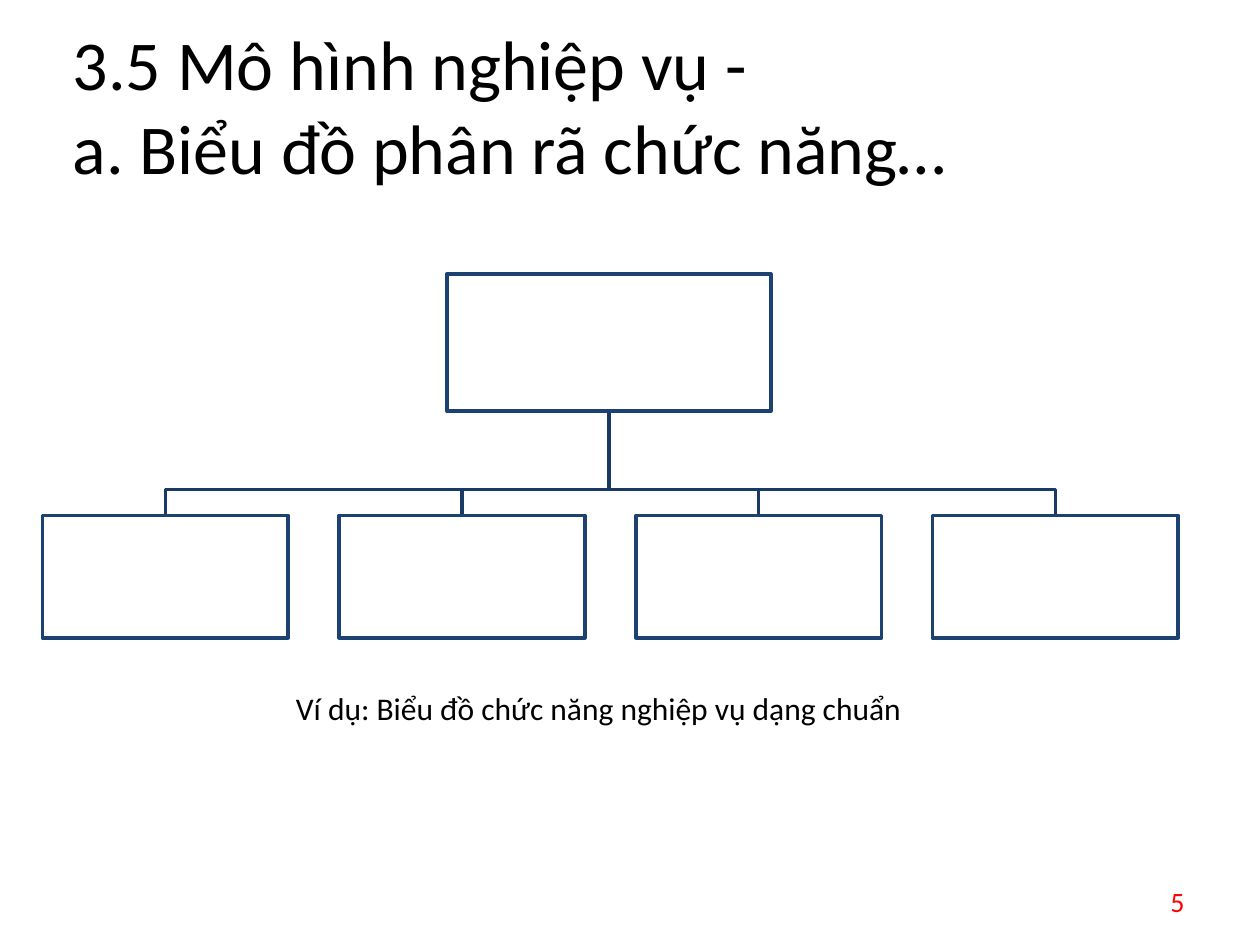
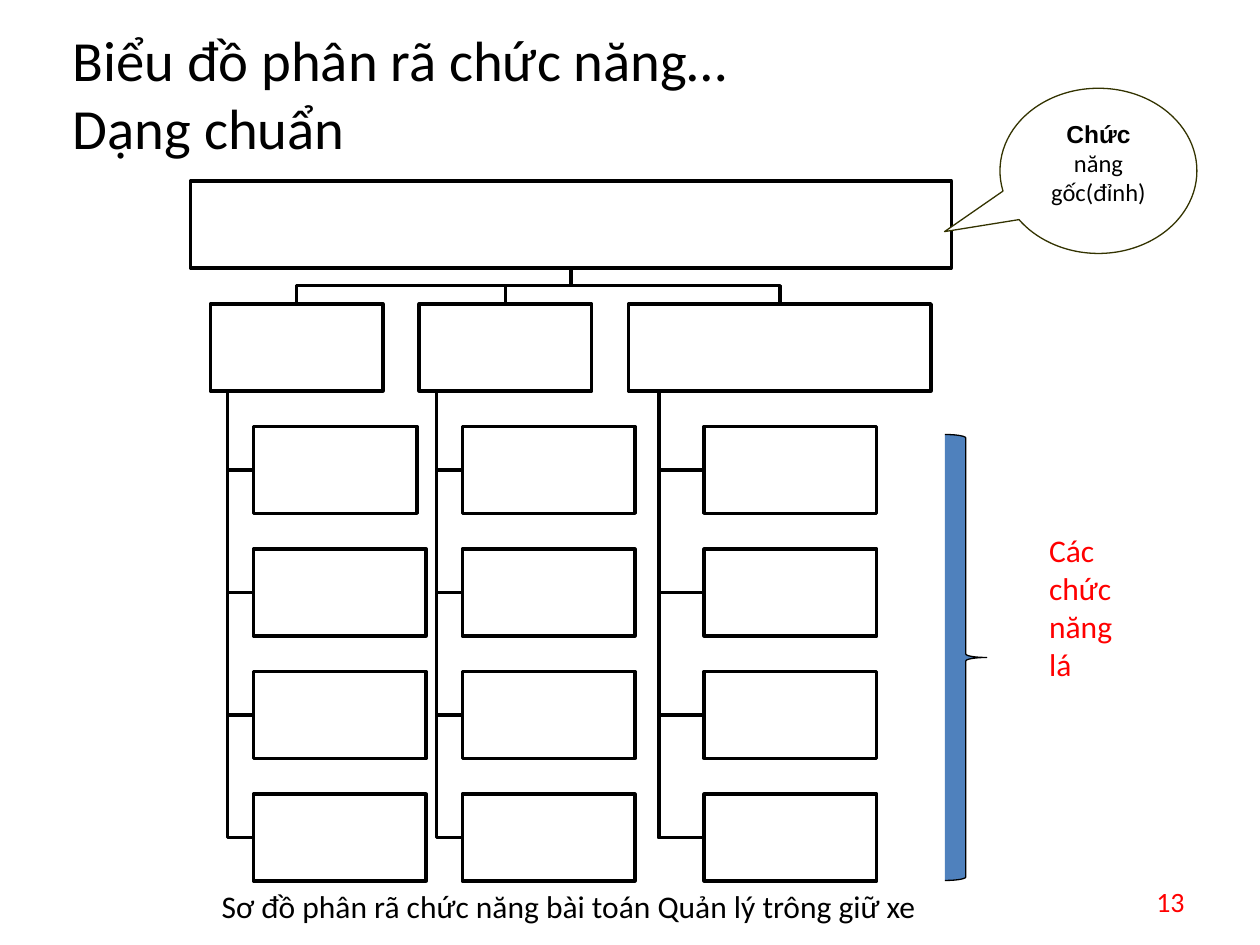
from dataclasses import dataclass

from pptx import Presentation
from pptx.dml.color import RGBColor
from pptx.enum.shapes import MSO_SHAPE
from pptx.enum.text import MSO_ANCHOR, PP_ALIGN
from pptx.util import Cm, Pt

BLACK = RGBColor(0x00, 0x00, 0x00)
WHITE = RGBColor(0xFF, 0xFF, 0xFF)
RED = RGBColor(0xFF, 0x00, 0x00)
BLUE = RGBColor(0x4F, 0x81, 0xBD)
BOX_NAVY = RGBColor(0x1C, 0x42, 0x71)
LINK_NAVY = RGBColor(0x19, 0x3A, 0x64)
OLIVE = RGBColor(0x33, 0x33, 0x00)
FONT = "Calibri"


@dataclass(frozen=True)
class Box:
    """A rectangle in centimetres."""
    x: float
    y: float
    w: float
    h: float

    @property
    def cx(self) -> float:
        return self.x + self.w / 2

    @property
    def cy(self) -> float:
        return self.y + self.h / 2

    @property
    def bottom(self) -> float:
        return self.y + self.h

    def lengths(self) -> tuple:
        return Cm(self.x), Cm(self.y), Cm(self.w), Cm(self.h)


@dataclass(frozen=True)
class Branch:
    """A second-level function and the widths of its leaves."""
    x: float
    w: float
    leaf_widths: tuple


def style_run(r, size: float, color: RGBColor, font: str = FONT, bold: bool = False) -> None:
    r.font.size, r.font.name, r.font.bold = Pt(size), font, bold
    r.font.color.rgb = color


def add_text(s, box: Box, text: str, size: float, color: RGBColor = BLACK,
             align=PP_ALIGN.LEFT, anchor=MSO_ANCHOR.TOP) -> None:
    tf = s.shapes.add_textbox(*box.lengths()).text_frame
    tf.word_wrap = True
    tf.vertical_anchor = anchor
    p = tf.paragraphs[0]
    p.text = text
    p.alignment = align
    for r in p.runs:
        style_run(r, size, color)


def add_shape(s, kind, box: Box, fill: RGBColor, line: RGBColor, width: float):
    sp = s.shapes.add_shape(kind, *box.lengths())
    sp.shadow.inherit = False
    sp.fill.solid()
    sp.fill.fore_color.rgb = fill
    sp.line.color.rgb = line
    sp.line.width = Pt(width)
    return sp


def add_link(s, points: list, color: RGBColor) -> None:
    """Draw an open angled line through points."""
    start, *rest = [(Cm(x), Cm(y)) for x, y in points]
    builder = s.shapes.build_freeform(*start)
    builder.add_line_segments(rest, close=False)
    sp = builder.convert_to_shape()
    sp.shadow.inherit = False
    sp.fill.background()
    sp.line.color.rgb = color
    sp.line.width = Pt(2)


def add_level(s, parent: Box, children: list, bus_y: float,
              box_color: RGBColor, link_color: RGBColor) -> None:
    """Draw a parent above a row of children."""
    for child in children:
        add_link(s, [(parent.cx, parent.bottom), (parent.cx, bus_y),
                     (child.cx, bus_y), (child.cx, child.y)], link_color)
    for box in (parent, *children):
        add_shape(s, MSO_SHAPE.RECTANGLE, box, WHITE, box_color, 2)


def add_leaves(s, head: Box, widths: tuple, pitch: float) -> None:
    """Hang leaves under a head from a trunk at its left."""
    trunk_x = head.x + 0.1 * head.w
    leaves = [Box(head.x + 0.25 * head.w, head.y + pitch * i, w, head.h)
              for i, w in enumerate(widths, start=1)]
    for leaf in leaves:
        add_link(s, [(trunk_x, head.bottom), (trunk_x, leaf.cy), (leaf.x, leaf.cy)], BLACK)
        add_shape(s, MSO_SHAPE.RECTANGLE, leaf, WHITE, BLACK, 2)


def add_base(prs, title: str, size: float, height: float, number: int):
    """Add a slide with its title and page number."""
    s = prs.slides.add_slide(prs.slide_layouts[6])
    add_text(s, Box(1.22, 0.28, 22.91, height), title, size, anchor=MSO_ANCHOR.MIDDLE)
    add_text(s, Box(18.21, 17.65, 5.92, 1.02), str(number), 16, RED,
             PP_ALIGN.RIGHT, MSO_ANCHOR.MIDDLE)
    return s


def build_general_chart(prs) -> None:
    s = add_base(prs, "3.5 Mô hình nghiệp vụ - \va. Biểu đồ phân rã chức năng…", 40, 3.66, 5)
    root = Box(9.01, 5.52, 6.53, 2.77)
    children = [Box(0.86 + 5.98 * i, 10.39, 4.95, 2.47) for i in range(4)]
    add_level(s, root, children, 9.87, BOX_NAVY, LINK_NAVY)
    add_text(s, Box(4.45, 13.77, 15.24, 1.02), "Ví dụ: Biểu đồ chức năng nghiệp vụ dạng chuẩn",
             18, align=PP_ALIGN.CENTER)


def build_standard_chart(prs) -> None:
    s = add_base(prs, "Biểu đồ phân rã chức năng…\vDạng chuẩn", 32.4, 3.18, 13)

    # Function tree
    root = Box(3.84, 3.65, 15.34, 1.75)
    branches = [Branch(4.24, 3.48, (3.3, 3.48, 3.48, 3.48)),
                Branch(8.45, 3.48, (3.48,) * 4),
                Branch(12.67, 6.1, (3.48,) * 4)]
    heads = [Box(b.x, 6.13, b.w, root.h) for b in branches]
    add_level(s, root, heads, 5.76, BLACK, BLACK)
    for branch, head in zip(branches, heads):
        add_leaves(s, head, branch.leaf_widths, 2.47)

    # Brace and label of the leaves
    add_shape(s, MSO_SHAPE.RIGHT_BRACE, Box(19.05, 8.76, 0.84, 8.99), BLUE, BLACK, 0.75)
    add_text(s, Box(20.9, 10.59, 2.11, 3.33), "Các chức năng lá", 18, RED)

    # Callout on the root
    sp = add_shape(s, MSO_SHAPE.OVAL_CALLOUT, Box(20.16, 1.78, 3.97, 3.33), WHITE, OLIVE, 0.75)
    sp.adjustments[0], sp.adjustments[1] = -0.782, 0.368
    tf = sp.text_frame
    tf.word_wrap = True
    tf.vertical_anchor = MSO_ANCHOR.TOP
    p = tf.paragraphs[0]
    p.alignment = PP_ALIGN.CENTER
    for text, font, bold in (("Chức ", "Arial", True), ("năng gốc(đỉnh)", FONT, False)):
        r = p.add_run()
        r.text = text
        style_run(r, 14, BLACK, font, bold)

    add_text(s, Box(2.36, 17.75, 18.21, 1.02),
             "Sơ đồ phân rã chức năng bài toán Quản lý trông giữ xe", 18, align=PP_ALIGN.CENTER)


def main() -> None:
    prs = Presentation()
    prs.slide_width, prs.slide_height = Cm(25.4), Cm(19.05)
    build_general_chart(prs)
    build_standard_chart(prs)
    prs.save("out.pptx")


if __name__ == "__main__":
    main()
